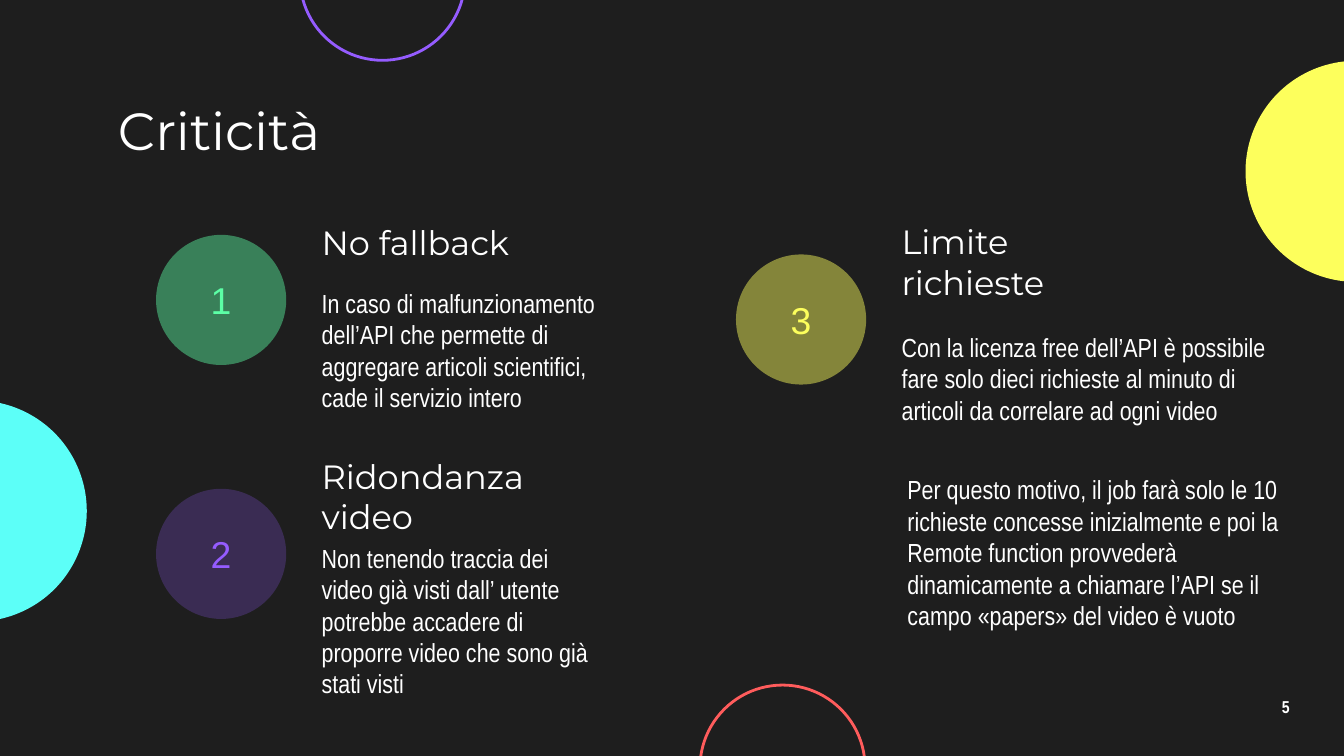
from lxml import etree
from pptx import Presentation
from pptx import util as u
from pptx.dml.color import RGBColor
from pptx.enum import shapes, text
from pptx.oxml.ns import qn

DARK = RGBColor(0x1E, 0x1E, 0x1E)
WHITE = RGBColor(0xFF, 0xFF, 0xFF)
CYAN = RGBColor(0x5C, 0xFF, 0xF8)
YELLOW = RGBColor(0xFD, 0xFF, 0x5C)
PURPLE = RGBColor(0x95, 0x5C, 0xFF)
RED = RGBColor(0xFF, 0x5C, 0x5C)
GREEN = RGBColor(0x5C, 0xFF, 0xA6)

HEAD_FONT, BODY_FONT, NUMBER_FONT = "Montserrat", "Arial Narrow", "Arial"
BADGE, TEXT_OFFSET, HEAD_HEIGHT = 2.46, 2.88, 1.27


def write(shape, words, font=BODY_FONT, size=14, color=WHITE, bold=False,
          align=text.PP_ALIGN.LEFT, spacing=1.0):
    """Put one formatted paragraph, vertically centred, into a shape."""
    frame = shape.text_frame
    frame.word_wrap = True
    frame.vertical_anchor = text.MSO_ANCHOR.MIDDLE
    frame.margin_left = frame.margin_right = u.Cm(0.25)
    frame.margin_top = frame.margin_bottom = u.Cm(0.25)
    para = frame.paragraphs[0]
    para.alignment = align
    para.line_spacing = spacing
    span = para.add_run()
    span.text = words
    span.font.name = font
    span.font.size = u.Pt(size)
    span.font.bold = bold
    span.font.color.rgb = color


def add_text(page, box, words, **style):
    """Add a text box at box (left, top, width, height in cm)."""
    write(page.shapes.add_textbox(*map(u.Cm, box)), words, **style)


def add_circle(page, left, top, size, fill=None, line=None, opacity=100):
    """Add a filled or outlined circle and return it."""
    circle = page.shapes.add_shape(shapes.MSO_SHAPE.OVAL, u.Cm(left),
                                   u.Cm(top), u.Cm(size), u.Cm(size))
    circle.shadow.inherit = False
    if fill is None:
        circle.fill.background()
    else:
        circle.fill.solid()
        circle.fill.fore_color.rgb = fill
        if opacity < 100:
            tone = next(circle.fill._xPr.iter(qn("a:srgbClr")))
            etree.SubElement(tone, qn("a:alpha"), val=str(opacity * 1000))
    if line is None:
        circle.line.fill.background()
    else:
        circle.line.color.rgb = line
        circle.line.width = u.Pt(1.5)
    return circle


def add_decoration(page):
    """Place the circles that run off the slide edges."""
    add_circle(page, -2.54, 7.57, 4.18, fill=CYAN)
    add_circle(page, 23.54, 1.15, 4.18, fill=YELLOW)
    add_circle(page, 5.67, -1.98, 3.12, line=PURPLE)
    add_circle(page, 13.23, 12.95, 3.12, line=RED)


def add_issue(page, left, top, number, color, opacity, heading, heading_width,
              body, body_box):
    """Place a numbered badge with heading and body; body_box is its
    drop below the badge top, its width and its height."""
    badge = add_circle(page, left, top, BADGE, fill=color, opacity=opacity)
    write(badge, number, font=NUMBER_FONT, size=20, color=color,
          align=text.PP_ALIGN.CENTER)
    text_left = left + TEXT_OFFSET
    add_text(page, (text_left, top - 0.5, heading_width, HEAD_HEIGHT), heading,
             font=HEAD_FONT, size=18)
    drop, width, height = body_box
    add_text(page, (text_left, top + drop, width, height), body)


ISSUES = [
    (2.95, 4.44, "1", GREEN, 44, "No fallback", 5.56,
     "In caso di malfunzionamento dell’API che permette di aggregare "
     "articoli scientifici, cade il servizio intero", (0.77, 6.2, 2.82)),
    (2.95, 9.24, "2", PURPLE, 24, "Ridondanza video", 5.56,
     "Non tenendo traccia dei video già visti dall’ utente potrebbe accadere "
     "di proporre video che sono già stati visti", (1.02, 5.56, 2.95)),
    (13.91, 4.81, "3", YELLOW, 46, "Limite richieste", 5.23,
     "Con la licenza free dell’API è possibile fare solo dieci richieste al "
     "minuto di articoli da correlare ad ogni video", (1.02, 7.75, 2.64)),
]


def build_issues_slide(deck):
    """Add the slide that lists the critical issues."""
    page = deck.slides.add_slide(deck.slide_layouts[6])
    page.background.fill.solid()
    page.background.fill.fore_color.rgb = DARK
    add_decoration(page)
    add_text(page, (1.98, 1.8, 21.44, 1.3), "Criticità", font=HEAD_FONT, size=28)
    for issue in ISSUES:
        add_issue(page, *issue)
    add_text(page, (16.9, 8.74, 7.62, 3.4),
             "Per questo motivo, il job farà solo le 10 richieste concesse "
             "inizialmente e poi la Remote function provvederà dinamicamente "
             "a chiamare l’API se il campo «papers» del video è vuoto")
    add_text(page, (23.54, 12.95, 1.52, 0.86), "5", size=9.2, bold=True,
             align=text.PP_ALIGN.CENTER, spacing=0.9)


deck = Presentation()
deck.slide_width, deck.slide_height = u.Cm(25.4), u.Cm(14.29)
build_issues_slide(deck)
deck.save("out.pptx")
